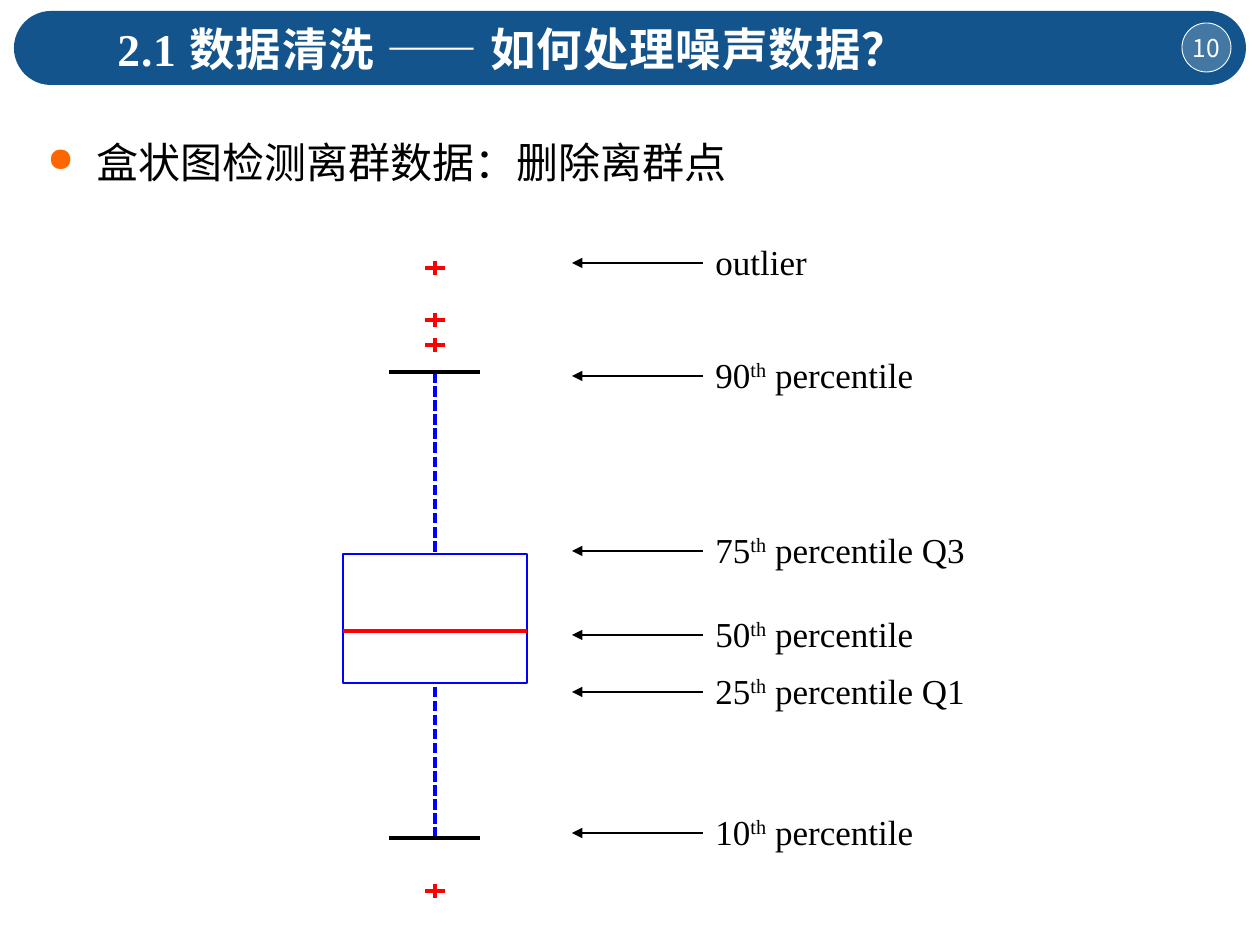
from typing import NamedTuple, Optional

import lxml.etree
import pptx
import pptx.dml.color
import pptx.enum.dml
import pptx.enum.shapes
import pptx.enum.text
import pptx.oxml
import pptx.oxml.ns
import pptx.util

PX = 914400 / 126
SERIF = "Times New Roman"
SANS = "Noto Sans CJK SC"
BLACK, WHITE, RED, BLUE = "000000", "FFFFFF", "FF0000", "0000FF"
SHAPE = pptx.enum.shapes.MSO_SHAPE
AXIS = 435
ARROW_TIP, LABEL_LEFT, LABEL_RISE = 572, 703, 29


class Area(NamedTuple):
    """Left, top, width and height in px."""
    left: int
    top: int
    width: int
    height: int


class Label(NamedTuple):
    """An arrow height with the label's number, raised suffix and rest."""
    y: int
    number: str
    suffix: str
    rest: str
    width: int = 360
    height: int = 70


QUARTILE_BOX = Area(343, 554, 184, 129)
WHISKER_ENDS = {0: 372, 2: 838}
OUTLIERS = [268, 345, 320, 891]
LABELS = [
    Label(263, "outlier", "", "", 197, 47),
    Label(833, "10", "th", " percentile"),
    Label(692, "25", "th", " percentile Q1"),
    Label(551, "75", "th", " percentile Q3"),
    Label(635, "50", "th", " percentile"),
    Label(376, "90", "th", " percentile"),
]


def px(length: int) -> int:
    """Turn px into EMU."""
    return pptx.util.Emu(round(length * PX))


def color(value: str) -> pptx.dml.color.RGBColor:
    """Turn a hex string into a colour."""
    return pptx.dml.color.RGBColor.from_string(value)


def add_child(parent, tag: str, **attributes: str):
    """Append a DrawingML element and return it."""
    return lxml.etree.SubElement(parent, pptx.oxml.ns.qn(tag), attributes)


def add_shape(page, kind, area: Area, fill: Optional[str] = None,
              line: Optional[str] = None, width: float = 0):
    """Draw a preset shape without shadow."""
    shape = page.shapes.add_shape(kind, *map(px, area))
    shape.shadow.inherit = False
    if fill:
        shape.fill.solid()
        shape.fill.fore_color.rgb = color(fill)
    else:
        shape.fill.background()
    if line:
        shape.line.color.rgb = color(line)
        shape.line.width = pptx.util.Pt(width)
    else:
        shape.line.fill.background()
    return shape


def add_line(page, start: tuple[int, int], end: tuple[int, int], ink: str, width: float = 0):
    """Draw a straight connector without shadow."""
    line = page.shapes.add_connector(
        pptx.enum.shapes.MSO_CONNECTOR.STRAIGHT, *map(px, (*start, *end)))
    line.line.color.rgb = color(ink)
    line.line.width = pptx.util.Pt(width)
    add_child(line._element.spPr, "a:effectLst")
    return line


def style(para, size: int, ink: str, name: str = SERIF, bold: bool = False) -> None:
    """Set the font of a paragraph."""
    para.font.size = pptx.util.Pt(size)
    para.font.color.rgb = color(ink)
    para.font.name = name
    para.font.bold = bold


def add_span(para, text: str, **attributes: str) -> None:
    """Add a run with extra character attributes."""
    span = para.add_run()
    span.text = text
    for key, value in attributes.items():
        span._r.get_or_add_rPr().set(key, value)


def add_text_box(page, area: Area):
    """Add a wrapping text box that grows and return its paragraph."""
    frame = page.shapes.add_textbox(*map(px, area)).text_frame
    frame.word_wrap = True
    frame.auto_size = pptx.enum.text.MSO_AUTO_SIZE.SHAPE_TO_FIT_TEXT
    return frame.paragraphs[0]


def draw_banner(page) -> None:
    """Draw the title bar and the page number."""
    bar = add_shape(page, SHAPE.ROUNDED_RECTANGLE, Area(14, 11, 1232, 74), "13548C")
    bar.adjustments[0] = 0.5
    badge = add_shape(page, SHAPE.OVAL, Area(1182, 23, 49, 49), WHITE, WHITE, 0.5)
    fill = badge._element.spPr.find(pptx.oxml.ns.qn("a:solidFill"))
    add_child(fill[0], "a:alpha", val="21000")
    frame = badge.text_frame
    frame.margin_left = frame.margin_right = frame.margin_top = frame.margin_bottom = 0
    frame.word_wrap = False
    frame.vertical_anchor = pptx.enum.text.MSO_ANCHOR.MIDDLE
    para = frame.paragraphs[0]
    para.alignment = pptx.enum.text.PP_ALIGN.CENTER
    add_span(para, "10")
    style(para, 14, WHITE, SANS)


def draw_box_plot(page) -> None:
    """Draw the quartile box, whiskers, caps, median and outliers."""
    box = add_shape(page, SHAPE.RECTANGLE, QUARTILE_BOX, line=BLUE)
    for side, y in WHISKER_ENDS.items():
        whisker = add_line(page, (AXIS, y), (AXIS, y), BLUE)
        whisker.end_connect(box, side)
        whisker.line.dash_style = pptx.enum.dml.MSO_LINE.SQUARE_DOT
        add_line(page, (389, y), (480, y), BLACK)
    right = QUARTILE_BOX.left + QUARTILE_BOX.width
    add_line(page, (QUARTILE_BOX.left, 631), (right, 631), RED)
    for y in OUTLIERS:
        add_line(page, (425, y), (445, y), RED)
        add_line(page, (AXIS, y - 7), (AXIS, y + 7), RED)


def draw_label(page, label: Label) -> None:
    """Draw one label with its arrow towards the box plot."""
    arrow = add_line(page, (ARROW_TIP, label.y), (LABEL_LEFT, label.y), BLACK, 0.75)
    add_child(arrow.line._get_or_add_ln(), "a:headEnd", type="triangle")
    area = Area(LABEL_LEFT, label.y - LABEL_RISE, label.width, label.height)
    box = add_shape(page, SHAPE.RECTANGLE, area, WHITE)
    box.text_frame.vertical_anchor = pptx.enum.text.MSO_ANCHOR.TOP
    para = box.text_frame.paragraphs[0]
    para.alignment = pptx.enum.text.PP_ALIGN.LEFT
    add_span(para, label.number)
    if label.suffix:
        add_span(para, label.suffix, baseline="30000")
        add_span(para, label.rest)
    style(para, 20, BLACK)


def draw_heading(page) -> None:
    """Write the bullet line and the title."""
    para = add_text_box(page, Area(35, 105, 1166, 81))
    para.alignment = pptx.enum.text.PP_ALIGN.JUSTIFY
    para.line_spacing = 1.5
    properties = para._p.get_or_add_pPr()
    properties.set("marL", str(px(49)))
    properties.set("indent", str(px(-49)))
    add_child(add_child(properties, "a:buClr"), "a:srgbClr", val="FF6600")
    add_child(properties, "a:buSzPct", val="80000")
    add_child(properties, "a:buChar", char="●")
    add_span(para, "盒状图检测离群数据：删除离群点")
    style(para, 24, BLACK)
    title = add_text_box(page, Area(105, 15, 837, 68))
    add_span(title, "2.1 数据清洗 —— 如何处理噪声数据？", spc="50")
    style(title, 26, WHITE, bold=True)


def main() -> None:
    """Build the slide and save it."""
    deck = pptx.Presentation()
    deck.slide_width, deck.slide_height = px(1260), px(945)
    page = deck.slides.add_slide(deck.slide_layouts[6])
    draw_banner(page)
    draw_box_plot(page)
    for label in LABELS:
        draw_label(page, label)
    draw_heading(page)
    deck.save("out.pptx")


if __name__ == "__main__":
    main()
